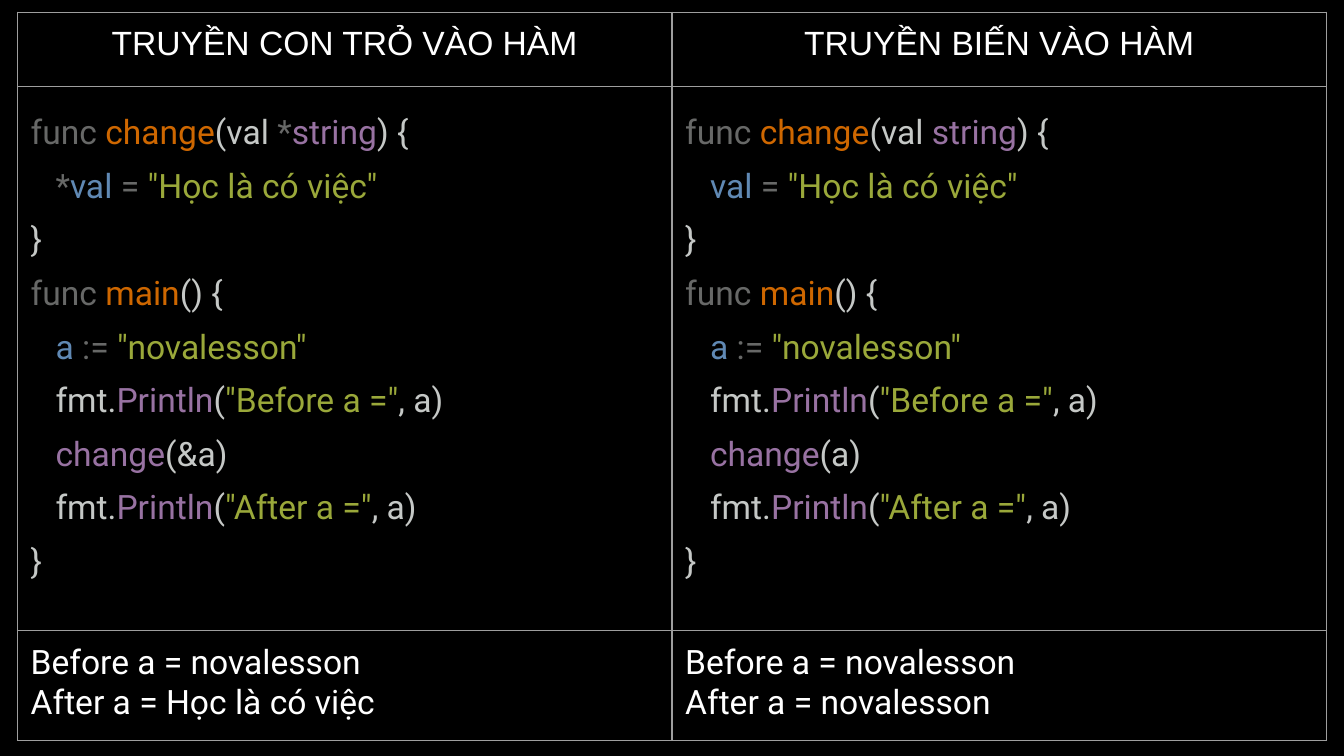
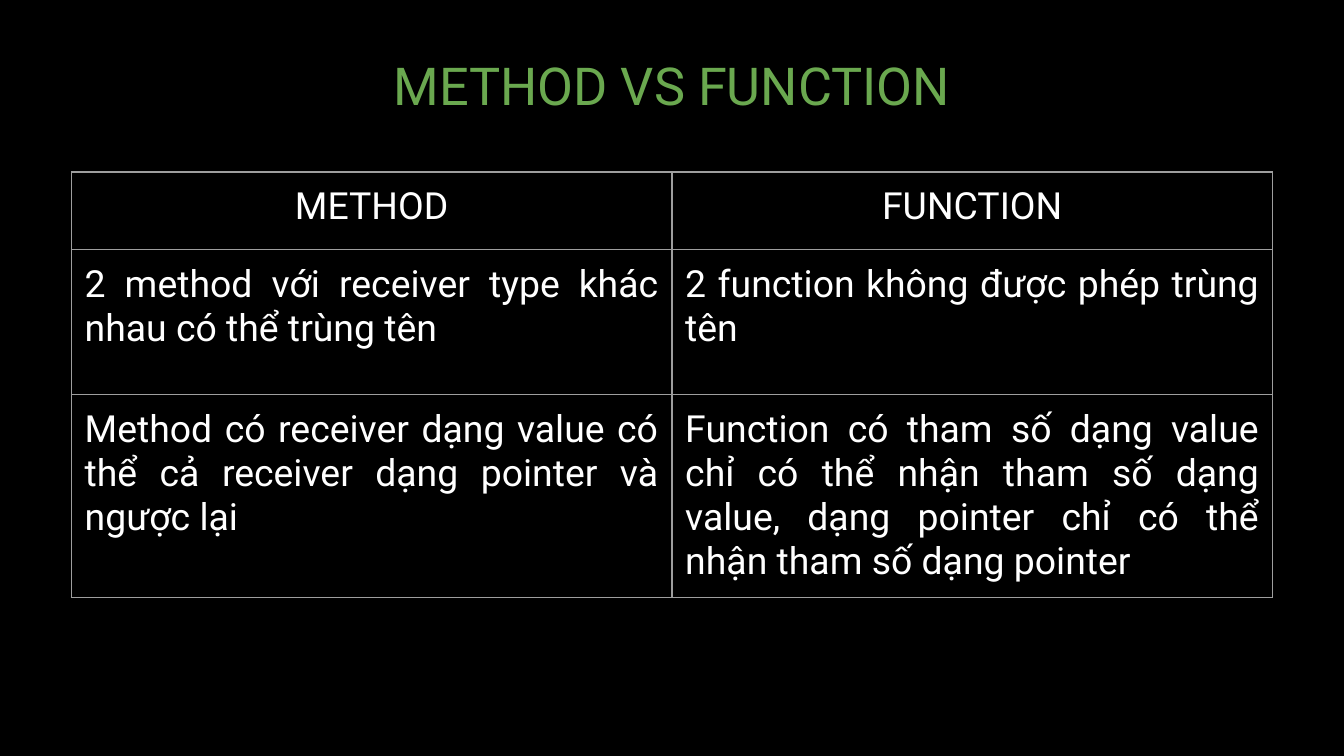
from lxml import etree
from pptx import Presentation
from pptx import util as u
from pptx.dml import color
from pptx.enum import text
from pptx.oxml import ns

WHITE, BLACK, GREEN, GRID = "FFFFFF", "000000", "6AA84F", "9E9E9E"
KEYWORD, NAME, PLAIN = "676867", "CE6700", "C5C8C6"
CALL, VARIABLE, STRING = "9872A2", "6089B4", "9AA83A"
INSET = u.Cm(0.25)
CODE_INDENT = u.Cm(0.47)
CENTER, LEFT, JUSTIFY = text.PP_ALIGN.CENTER, text.PP_ALIGN.LEFT, text.PP_ALIGN.JUSTIFY
TITLE_ONLY, BLANK = 5, 6


def rgb(value):
    return color.RGBColor.from_string(value)


class Deck:
    def __init__(self):
        self.prs = Presentation()
        self.prs.slide_width, self.prs.slide_height = u.Cm(25.4), u.Cm(14.29)
        self.slide = None

    def new_slide(self, layout):
        self.slide = self.prs.slides.add_slide(self.prs.slide_layouts[layout])
        backdrop = self.slide.background.fill
        backdrop.solid()
        backdrop.fore_color.rgb = rgb(BLACK)

    def style(self, run, size, font="Roboto", ink=WHITE):
        run.font.size = u.Pt(size)
        run.font.name = font
        run.font.color.rgb = rgb(ink)

    def inset(self, box):
        box.margin_left = box.margin_right = box.margin_top = box.margin_bottom = INSET

    def title(self, wording, left, top, width, height):
        heading = self.slide.shapes.title
        heading.left, heading.top = u.Cm(left), u.Cm(top)
        heading.width, heading.height = u.Cm(width), u.Cm(height)
        frame = heading.text_frame
        frame.text = wording
        frame.auto_size = text.MSO_AUTO_SIZE.NONE
        frame.vertical_anchor = text.MSO_ANCHOR.MIDDLE
        self.inset(frame)
        frame.paragraphs[0].alignment = CENTER
        self.style(frame.paragraphs[0].runs[0], 28, ink=GREEN)

    def table(self, left, top, column_width, heights):
        grid = self.slide.shapes.add_table(
            len(heights), 2, u.Cm(left), u.Cm(top),
            u.Cm(2 * column_width), u.Cm(sum(heights))).table
        grid.first_row = grid.horz_banding = False
        for column in grid.columns:
            column.width = u.Cm(column_width)
        for row, height in zip(grid.rows, heights):
            row.height = u.Cm(height)
        for cell in grid.iter_cells():
            self.inset(cell)
            self.borders(cell)
            cell.fill.solid()
            cell.fill.fore_color.rgb = rgb(BLACK)
        return grid

    def borders(self, cell):
        properties = cell._tc.get_or_add_tcPr()
        for side in ("a:lnL", "a:lnR", "a:lnT", "a:lnB"):
            line = etree.SubElement(properties, ns.qn(side), w=str(u.Pt(0.75)))
            fill = etree.SubElement(line, ns.qn("a:solidFill"))
            etree.SubElement(fill, ns.qn("a:srgbClr"), val=GRID)

    def prose(self, cell, wording, size, align=LEFT, font="Roboto"):
        cell.text_frame.text = wording
        for paragraph in cell.text_frame.paragraphs:
            paragraph.alignment = align
            for run in paragraph.runs:
                self.style(run, size, font)

    def code(self, cell, lines):
        frame = cell.text_frame
        for number, (depth, tokens) in enumerate(lines):
            paragraph = frame.add_paragraph() if number else frame.paragraphs[0]
            paragraph.line_spacing = 1.36
            paragraph._p.get_or_add_pPr().set("marL", str(depth * CODE_INDENT))
            for wording, ink in tokens:
                run = paragraph.add_run()
                run.text = wording
                self.style(run, 18, ink=ink)


def print_call(label):
    return 1, [("fmt.", PLAIN), ("Println", CALL), ("(", PLAIN),
               (f'"{label} a ="', STRING), (", a)", PLAIN)]


def change_program(by_pointer):
    star = [("*", KEYWORD)] if by_pointer else []
    argument = "(&a)" if by_pointer else "(a)"
    closing = 0, [("}", PLAIN)]
    return [
        (0, [("func ", KEYWORD), ("change", NAME), ("(val ", PLAIN), *star,
             ("string", CALL), (") {", PLAIN)]),
        (1, [*star, ("val ", VARIABLE), ("= ", KEYWORD), ('"Học là có việc"', STRING)]),
        closing,
        (0, [("func ", KEYWORD), ("main", NAME), ("() {", PLAIN)]),
        (1, [("a ", VARIABLE), (":= ", KEYWORD), ('"novalesson"', STRING)]),
        print_call("Before"),
        (1, [("change", CALL), (argument, PLAIN)]),
        print_call("After"),
        closing,
    ]


def passing_slide(deck):
    deck.new_slide(BLANK)
    comparison = deck.table(0.33, 0.23, 12.37, [1.4, 10.29, 2.08])
    cases = [("TRUYỀN CON TRỎ VÀO HÀM", True, "Học là có việc"),
             ("TRUYỀN BIẾN VÀO HÀM", False, "novalesson")]
    for column, (heading, by_pointer, result) in enumerate(cases):
        deck.prose(comparison.cell(0, column), heading, 18, CENTER, "Arial")
        deck.code(comparison.cell(1, column), change_program(by_pointer))
        deck.prose(comparison.cell(2, column),
                   f"Before a = novalesson\nAfter a = {result}", 18)


def method_slide(deck):
    deck.new_slide(TITLE_ONLY)
    deck.title("METHOD VS FUNCTION", 0.86, 0.94, 23.67, 1.3)
    differences = [
        ("METHOD", "FUNCTION"),
        ("2 method với receiver type khác nhau có thể trùng tên",
         "2 function không được phép trùng tên"),
        ("Method có receiver dạng value có thể cả receiver dạng pointer và ngược lại",
         "Function có tham số dạng value chỉ có thể nhận tham số dạng value, "
         "dạng pointer chỉ có thể nhận tham số dạng pointer"),
    ]
    comparison = deck.table(1.35, 3.25, 11.35, [1.47, 2.74, 3.84])
    for row, pair in enumerate(differences):
        for column, wording in enumerate(pair):
            deck.prose(comparison.cell(row, column), wording, 20,
                       JUSTIFY if row else CENTER)


def main():
    deck = Deck()
    passing_slide(deck)
    method_slide(deck)
    deck.prs.save("out.pptx")


if __name__ == "__main__":
    main()
